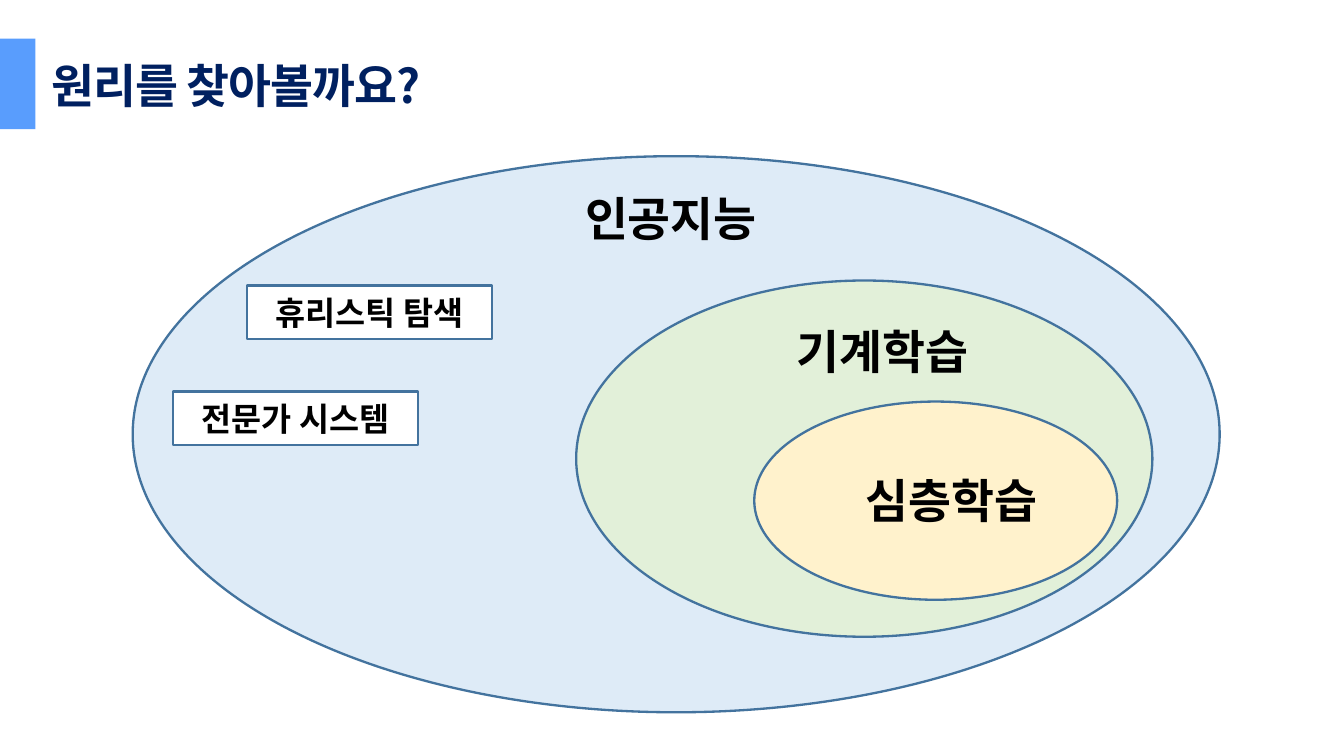
from lxml import etree
from pptx import Presentation
from pptx.dml.color import RGBColor
from pptx.enum.shapes import MSO_SHAPE
from pptx.enum.text import MSO_ANCHOR, MSO_AUTO_SIZE, PP_ALIGN
from pptx.oxml.ns import qn
from pptx.util import Pt

RECT, OVAL = MSO_SHAPE.RECTANGLE, MSO_SHAPE.OVAL
LEFT, CENTER = PP_ALIGN.LEFT, PP_ALIGN.CENTER
PX = 9144  # EMU per px, 100 px to the inch
FONT = "Noto Sans CJK KR"
COLORS = {
    "title": "002060", "text": "000000", "bar": "599DFD", "outline": "43739E",
    "ai": "DEEBF7", "ml": "E2F0D9", "dl": "FFF2CC", "box": "FFFFFF",
}


def add_shape(kind, box, fill, outline=True):
    sp = s.shapes.add_shape(kind, *[v * PX for v in box])
    sp.shadow.inherit = False
    sp.fill.solid()
    sp.fill.fore_color.rgb = RGBColor.from_string(COLORS[fill])
    if outline:
        sp.line.color.rgb = RGBColor.from_string(COLORS["outline"])
        sp.line.width = Pt(1)
    else:
        sp.line.fill.background()
    return sp


def set_text(sp, text, size, color="text", align=CENTER):
    tf = sp.text_frame
    tf.word_wrap = True
    tf.text = text
    p = tf.paragraphs[0]
    p.alignment = align
    r = p.runs[0]
    r.font.size = Pt(size)
    r.font.bold = True
    r.font.name = FONT
    r.font.color.rgb = RGBColor.from_string(COLORS[color])
    etree.SubElement(r.font._element, qn("a:ea")).set("typeface", FONT)
    return r


prs = Presentation()
prs.slide_width, prs.slide_height = 800 * PX, 450 * PX
s = prs.slides.add_slide(prs.slide_layouts[6])

# Title and its accent bar
title = s.shapes.add_textbox(21 * PX, 29 * PX, 454 * PX, 44 * PX)
r = set_text(title, "원리를 찾아볼까요?", 20, "title", LEFT)
r.font._element.set("spc", "-50")
title.text_frame.auto_size = MSO_AUTO_SIZE.SHAPE_TO_FIT_TEXT
add_shape(RECT, (-23, 23, 44, 54), "bar", outline=False)

# Nested fields, outermost first: ellipse, then its label
fields = [
    ("인공지능", "ai", (79, 93, 647, 331), (308, 108)),
    ("기계학습", "ml", (343, 167, 343, 212), (434, 187)),
    ("심층학습", "dl", (449, 239, 216, 118), (475, 276)),
]
for name, fill, oval, (x, y) in fields:
    add_shape(OVAL, oval, fill)
    label = s.shapes.add_textbox(x * PX, y * PX, 183 * PX, 44 * PX)
    set_text(label, name, 20)
    label.text_frame.auto_size = MSO_AUTO_SIZE.SHAPE_TO_FIT_TEXT

# Techniques outside machine learning
for name, x, y in [("휴리스틱 탐색", 147, 170), ("전문가 시스템", 103, 233)]:
    sp = add_shape(RECT, (x, y, 146, 32), "box")
    set_text(sp, name, 14)
    sp.text_frame.vertical_anchor = MSO_ANCHOR.MIDDLE

prs.save("out.pptx")
